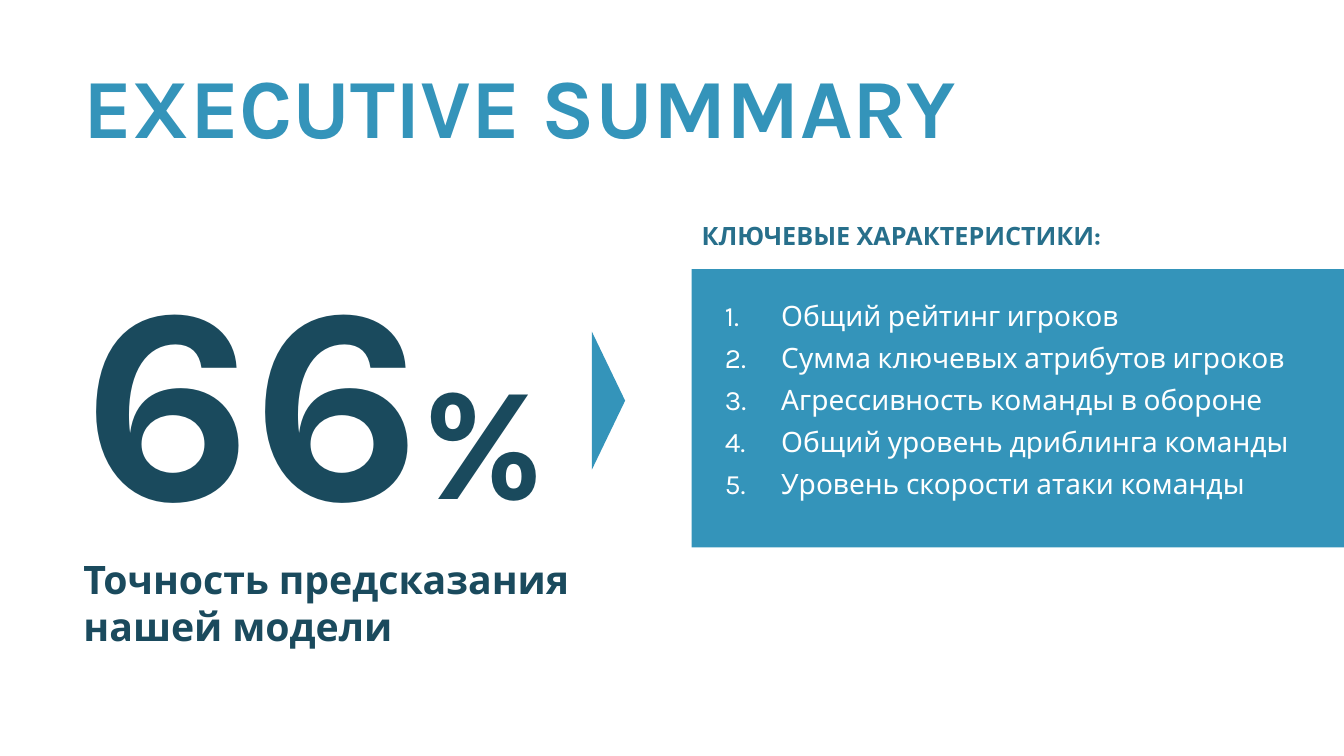
"""Build the executive summary slide with the model accuracy and its key features."""
import pptx
import pptx.dml.color
import pptx.enum.shapes
import pptx.enum.text
import pptx.oxml.xmlchemy
import pptx.util
import lxml.etree

PX = 9144
FONT = "Karla"
COLORS = {
    "accent": "3494BA",
    "dark": "1A4A5D",
    "label": "276F8B",
    "light": "FFFFFF",
}
SHAPES = pptx.enum.shapes.MSO_SHAPE
FEATURES = [
    "Общий рейтинг игроков",
    "Сумма ключевых атрибутов игроков",
    "Агрессивность команды в обороне",
    "Общий уровень дриблинга команды",
    "Уровень скорости атаки команды",
]

presentation = pptx.Presentation()
presentation.slide_width = 1333 * PX
presentation.slide_height = 750 * PX
slide = presentation.slides.add_slide(presentation.slide_layouts[6])


def add_text_frame(left, top, width, height):
    box = slide.shapes.add_textbox(left * PX, top * PX, width * PX, height * PX)
    box.text_frame.word_wrap = True
    box.text_frame.auto_size = pptx.enum.text.MSO_AUTO_SIZE.SHAPE_TO_FIT_TEXT
    return box.text_frame


def add_run(paragraph, text, size, color, bold=True):
    run = paragraph.add_run()
    run.text = text
    run.font.name = FONT
    run.font.size = pptx.util.Pt(size)
    run.font.bold = bold
    run.font.color.rgb = pptx.dml.color.RGBColor.from_string(COLORS[color])


for kind, left, top, width, height, rotation in [
    (SHAPES.RECTANGLE, 686, 267, 647, 276, 0),
    (SHAPES.ISOSCELES_TRIANGLE, 535, 381, 137, 33, 90),
]:
    shape = slide.shapes.add_shape(kind, left * PX, top * PX, width * PX, height * PX)
    shape.rotation = rotation
    shape.shadow.inherit = False
    shape.fill.solid()
    shape.fill.fore_color.rgb = pptx.dml.color.RGBColor.from_string(COLORS["accent"])
    shape.line.fill.background()

title_frame = add_text_frame(73, 49, 1209, 111)
title_frame.vertical_anchor = pptx.enum.text.MSO_ANCHOR.MIDDLE
add_run(title_frame.paragraphs[0], "EXECUTIVE SUMMARY", 60, "accent")

accuracy_frame = add_text_frame(73, 214, 524, 439)
add_run(accuracy_frame.paragraphs[0], "66", 199, "dark")
add_run(accuracy_frame.paragraphs[0], "%", 115, "dark")
add_run(accuracy_frame.add_paragraph(), "Точность предсказания нашей модели", 28, "dark")

heading_frame = add_text_frame(686, 214, 551, 40)
add_run(heading_frame.paragraphs[0], "КЛЮЧЕВЫЕ ХАРАКТЕРИСТИКИ:", 18, "label")

features_frame = add_text_frame(709, 291, 591, 212)
for index, feature in enumerate(FEATURES):
    paragraph = features_frame.add_paragraph() if index else features_frame.paragraphs[0]
    properties = paragraph._p.get_or_add_pPr()
    properties.set("marL", str(56 * PX))
    properties.set("indent", str(-56 * PX))
    numbering = lxml.etree.SubElement(properties, pptx.oxml.ns.qn("a:buAutoNum"))
    numbering.set("type", "arabicPeriod")
    if index:
        paragraph.space_before = pptx.util.Pt(3)
    paragraph.space_after = pptx.util.Pt(3)
    add_run(paragraph, feature, 20, "light", bold=False)

presentation.save("out.pptx")
